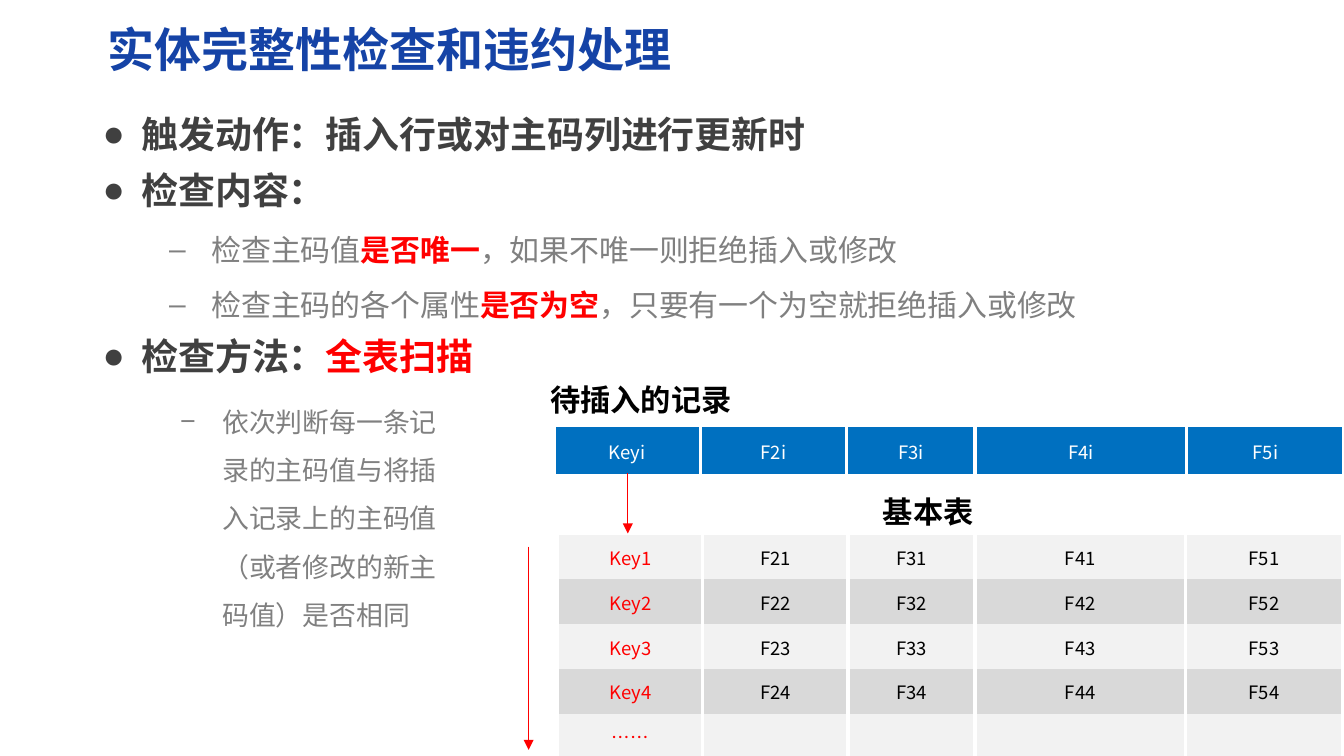
from lxml.etree import SubElement
from pptx import Presentation
from pptx.dml.color import RGBColor
from pptx.enum.shapes import MSO_CONNECTOR as Conn
from pptx.enum.text import MSO_ANCHOR as Anchor, MSO_AUTO_SIZE as Auto, PP_ALIGN as Align
from pptx.oxml.ns import qn
from pptx.util import Inches, Pt

RED, GRAY, DARK, BLACK, WHITE = "FF0000", "808080", "404040", "000000", "FFFFFF"
PLAIN = "{2D5ABB26-0587-4C30-8999-92F81FD0307C}"


def color(code):
    return RGBColor.from_string(code)


class Page:
    face = "Noto Sans CJK SC"

    def __init__(self, deck):
        self.shapes = deck.slides.add_slide(deck.slide_layouts[6]).shapes

    def fill_in(self, para, runs):
        """Add runs given as (text, size, colour, bold)."""
        for text, size, code, bold in runs:
            run = para.add_run()
            run.text = text
            style = {"name": self.face, "size": Pt(size), "bold": bold}
            for key, value in style.items():
                setattr(run.font, key, value)
            run.font.color.rgb = color(code)
            SubElement(run.font._element, qn("a:ea"), typeface=self.face)

    def bullet(self, para, mark, left, hang):
        props = para._p.get_or_add_pPr()
        props.set("marL", str(Inches(left)))
        props.set("indent", str(-Inches(hang)))
        SubElement(props, qn("a:buFont"), typeface="Arial")
        SubElement(props, qn("a:buChar"), char=mark)

    def box(self, area, paras, **frame):
        """Add a text box; each item is (runs, bullet, paragraph format)."""
        text = self.shapes.add_textbox(*map(Inches, area)).text_frame
        for key, value in {"word_wrap": True, **frame}.items():
            setattr(text, key, value)
        for i, (runs, mark, form) in enumerate(paras):
            para = text.add_paragraph() if i else text.paragraphs[0]
            if mark:
                self.bullet(para, *mark)
            for key, value in form.items():
                if i or key != "space_before":
                    setattr(para, key, value)
            self.fill_in(para, runs)

    def label(self, area, text):
        self.box(area, [([(text, 18, BLACK, True)], None, {})],
                 word_wrap=False, auto_size=Auto.SHAPE_TO_FIT_TEXT)

    def cell(self, cell, text, code, fill):
        props = cell._tc.get_or_add_tcPr()
        for side in ("a:lnL", "a:lnR"):
            line = SubElement(props, qn(side), w=str(Pt(2.25)))
            SubElement(SubElement(line, qn("a:solidFill")), qn("a:srgbClr"), val=WHITE)
        cell.fill.solid()
        cell.fill.fore_color.rgb = color(fill)
        edge = Inches(0.01)
        form = {"vertical_anchor": Anchor.MIDDLE, "margin_left": edge,
                "margin_right": edge, "margin_top": edge, "margin_bottom": 0}
        for key, value in form.items():
            setattr(cell, key, value)
        para = cell.text_frame.paragraphs[0]
        para.alignment = Align.CENTER
        self.fill_in(para, [(text, 11, code, False)])

    def table(self, left, top, widths, height, rows, fills, first, rest):
        area = left, top, sum(widths), height * len(rows)
        frame = self.shapes.add_table(len(rows), len(widths), *map(Inches, area))
        table = frame.table
        table.first_row = table.horz_banding = False
        table._tbl.tblPr.find(qn("a:tableStyleId")).text = PLAIN
        for col, width in zip(table.columns, widths):
            col.width = Inches(width)
        for r, row in enumerate(rows):
            table.rows[r].height = Inches(height)
            for c, text in enumerate(row):
                self.cell(table.cell(r, c), text, rest if c else first, fills[r % len(fills)])

    def arrow(self, x, top, end):
        link = self.shapes.add_connector(Conn.STRAIGHT, *map(Inches, (x, top, x, end)))
        link.line.color.rgb = color(RED)
        link.line.width = Pt(0.75)
        SubElement(link.line._ln, qn("a:tailEnd"), type="triangle")
        SubElement(link._element.spPr, qn("a:effectLst"))


def main():
    deck = Presentation()
    deck.slide_width, deck.slide_height = Inches(11.11), Inches(6.25)
    page = Page(deck)

    # Title
    page.box((0.79, 0.12, 9.81, 0.57),
             [([("实体完整性检查和违约处理", 28, "1543A6", True)], None, {})],
             vertical_anchor=Anchor.MIDDLE)

    # Main points
    gap = {"line_spacing": Pt(29), "space_before": Pt(4)}

    def head(text, extra=()):
        return [(text, 22, DARK, True), *extra], ("●", 0.32, 0.32), gap

    def sub(start, key, end):
        runs = [(start, 17.8, GRAY, False), (key, 17.8, RED, True), (end, 17.8, GRAY, False)]
        return runs, ("–", 0.9, 0.35), {"level": 1, **gap}

    page.box((0.75, 0.84, 9.84, 3.7), [
        head("触发动作：插入行或对主码列进行更新时"),
        head("检查内容："),
        sub("检查主码值", "是否唯一", "，如果不唯一则拒绝插入或修改"),
        sub("检查主码的各个属性", "是否为空", "，只要有一个为空就拒绝插入或修改"),
        head("检查方法：", [("全表扫描", 22, RED, True)]),
    ])

    # Scan method
    note = "依次判断每一条记录的主码值与将插入记录上的主码值（或者修改的新主码值）是否相同"
    page.box((0.97, 3.17, 2.78, 2.07),
             [([(note, 16, GRAY, False)], ("−", 0.77, 0.35), {"level": 2, "line_spacing": 1.5})],
             auto_size=Auto.SHAPE_TO_FIT_TEXT)

    # Base table and the new record
    def record(n):
        return [f"Key{n}"] + [f"F{f}{n}" for f in range(2, 6)]

    rows = [record(n) for n in range(1, 5)] + [["……", "", "", "", ""]]
    page.table(4.61, 4.42, (1.2, 1.2, 1.05, 1.74, 1.3), 0.37, rows,
               ("F2F2F2", "D9D9D9"), RED, BLACK)
    page.table(4.58, 3.53, (1.21, 1.21, 1.06, 1.75, 1.3), 0.39, [record("i")],
               ("0070C0",), WHITE, WHITE)

    # Arrows and table names
    page.arrow(5.19, 3.91, 4.41)
    page.arrow(4.37, 4.52, 6.2)
    page.label((7.2, 4.03, 0.96, 0.4), "基本表")
    page.label((4.45, 3.1, 1.72, 0.4), "待插入的记录")

    deck.save("out.pptx")


if __name__ == "__main__":
    main()
